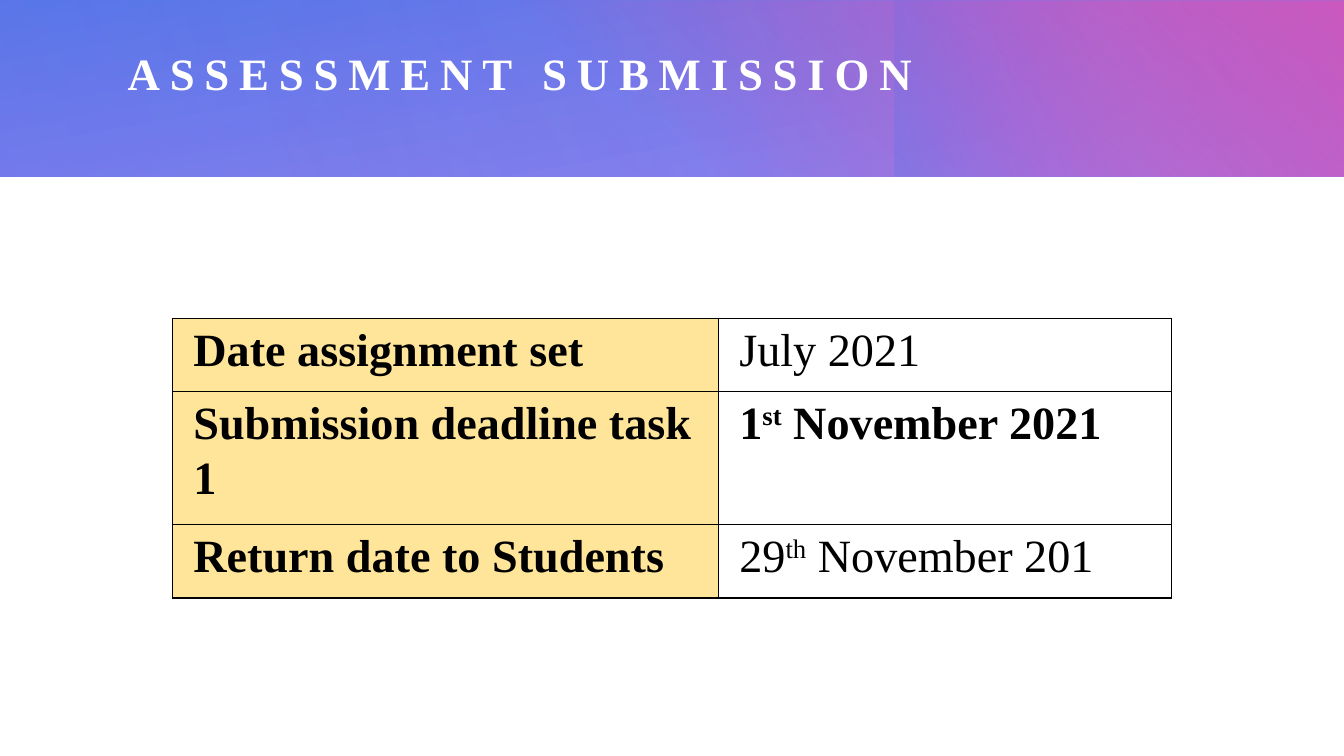
from dataclasses import dataclass

from lxml import etree
from pptx import Presentation
from pptx.dml.color import RGBColor
from pptx.enum.shapes import MSO_SHAPE
from pptx.enum.text import MSO_ANCHOR
from pptx.oxml.ns import qn
from pptx.util import Emu, Inches, Pt

RECT = MSO_SHAPE.RECTANGLE
TOP = MSO_ANCHOR.TOP
GRID_COLS, GRID_ROWS = 160, 90
WIDTH, HEIGHT = Inches(13.333), Inches(7.5)
BAND_ROWS = 21


@dataclass(frozen=True)
class Theme:
    font: str = "Times New Roman"
    title_size: float = 32
    cell_size: float = 33
    title_spacing: float = 7
    border_width: float = 1
    white: str = "FFFFFF"
    black: str = "000000"
    label: str = "FFE599"
    blue: str = "5078E9"
    lilac: str = "826FED"
    violet: str = "A750E9"
    pink: str = "E950AC"


THEME = Theme()


@dataclass(frozen=True)
class Box:
    col: float
    row: float
    cols: float
    rows: float

    def emu(self) -> tuple[Emu, Emu, Emu, Emu]:
        return across(self.col), down(self.row), across(self.cols), down(self.rows)


@dataclass(frozen=True)
class Stop:
    position: float
    color: str
    alpha: int = 100


@dataclass(frozen=True)
class Wash:
    box: Box
    start: Stop
    end: Stop
    angle: float
    rotation: float = 0


@dataclass(frozen=True)
class Span:
    text: str
    superscript: bool = False


@dataclass(frozen=True)
class DateRow:
    label: str
    date: tuple[Span, ...]
    rows: float
    bold: bool = False


WASHES = (
    Wash(Box(0, 0, GRID_COLS, BAND_ROWS),
         Stop(0, THEME.lilac, 83), Stop(1, THEME.blue), 260),
    Wash(Box(57.7, 0.1, 102.3, 20.9),
         Stop(0.22, THEME.pink, 0), Stop(0.99, THEME.pink), 310),
    Wash(Box(118.4, -11.9, BAND_ROWS, 44.9),
         Stop(0.45, THEME.violet, 0), Stop(0.99, THEME.blue, 33), 250, 270),
    Wash(Box(32.2, 0, 127.7, BAND_ROWS),
         Stop(0, THEME.lilac, 30), Stop(0.99, THEME.lilac, 0), 330, 180),
    Wash(Box(0, 0, 103.8, BAND_ROWS),
         Stop(0, THEME.lilac, 21), Stop(0.99, THEME.lilac, 0), 340),
)
TITLE_BOX = Box(15.2, 5.5, 136.2, 7)
TABLE_COL, TABLE_ROW = 20.5, 37.9
TABLE_COLS = (65, 54)
DATES = (
    DateRow("Date assignment set", (Span("July 2021"),), 8.75),
    DateRow("Submission deadline task 1",
            (Span("1"), Span("st", True), Span(" November 2021")), 15.8, True),
    DateRow("Return date to Students",
            (Span("29"), Span("th", True), Span(" November 201")), 8.75),
)


def across(cols: float) -> Emu:
    return Emu(round(WIDTH * cols / GRID_COLS))


def down(rows: float) -> Emu:
    return Emu(round(HEIGHT * rows / GRID_ROWS))


def write(tf, *spans: Span, size: float, color: str, bold: bool = False,
          spacing: float = 0, line: float = 1, after: float = 0) -> None:
    tf.word_wrap = True
    p = tf.paragraphs[0]
    p.line_spacing = line
    p.space_after = Pt(after)
    for span in spans:
        r = p.add_run()
        r.text = span.text
        r.font.name = THEME.font
        r.font.size = Pt(size)
        r.font.bold = bold
        r.font.color.rgb = RGBColor.from_string(color)
        if spacing:
            r.font._element.set("spc", str(round(spacing * 100)))
        if span.superscript:
            r.font._element.set("baseline", "30000")


def draw_wash(slide, wash: Wash) -> None:
    sp = slide.shapes.add_shape(RECT, *wash.box.emu())
    sp.shadow.inherit = False
    sp.rotation = wash.rotation
    sp.line.fill.background()
    sp.fill.gradient()
    sp.fill.gradient_angle = 360 - wash.angle
    for stop, wanted in zip(sp.fill.gradient_stops, (wash.start, wash.end)):
        stop.position = wanted.position
        stop.color.rgb = RGBColor.from_string(wanted.color)
    for gs, wanted in zip(sp._element.spPr.iter(qn("a:gs")), (wash.start, wash.end)):
        etree.SubElement(gs[0], qn("a:alpha")).set("val", str(wanted.alpha * 1000))


def draw_title(slide, text: str) -> None:
    tf = slide.shapes.add_textbox(*TITLE_BOX.emu()).text_frame
    tf.margin_left = tf.margin_right = tf.margin_top = tf.margin_bottom = 0
    tf.vertical_anchor = TOP
    write(tf, Span(text), size=THEME.title_size, color=THEME.white, bold=True,
          spacing=THEME.title_spacing)


def add_borders(cell) -> None:
    tc_pr = cell._tc.get_or_add_tcPr()
    for i, side in enumerate(("a:lnL", "a:lnR", "a:lnT", "a:lnB")):
        ln = etree.Element(qn(side), w=str(Pt(THEME.border_width)))
        fill = etree.SubElement(ln, qn("a:solidFill"))
        etree.SubElement(fill, qn("a:srgbClr"), val=THEME.black)
        tc_pr.insert(i, ln)


def fill_cell(cell, *spans: Span, fill: str, bold: bool, after: float = 0) -> None:
    cell.margin_left = cell.margin_right = Inches(0.21)
    cell.margin_top, cell.margin_bottom = Inches(0.03), 0
    cell.vertical_anchor = TOP
    cell.fill.solid()
    cell.fill.fore_color.rgb = RGBColor.from_string(fill)
    add_borders(cell)
    write(cell.text_frame, *spans, size=THEME.cell_size, color=THEME.black,
          bold=bold, line=1.07, after=after)


def draw_dates(slide) -> None:
    box = Box(TABLE_COL, TABLE_ROW, sum(TABLE_COLS), sum(d.rows for d in DATES))
    table = slide.shapes.add_table(len(DATES), len(TABLE_COLS), *box.emu()).table
    table.first_row = table.horz_banding = False
    for column, cols in zip(table.columns, TABLE_COLS):
        column.width = across(cols)
    for i, entry in enumerate(DATES):
        table.rows[i].height = down(entry.rows)
        fill_cell(table.cell(i, 0), Span(entry.label), fill=THEME.label, bold=True)
        fill_cell(table.cell(i, 1), *entry.date, fill=THEME.white,
                  bold=entry.bold, after=8)


def main() -> None:
    prs = Presentation()
    prs.slide_width, prs.slide_height = WIDTH, HEIGHT
    slide = prs.slides.add_slide(prs.slide_layouts[6])
    for wash in WASHES:
        draw_wash(slide, wash)
    draw_title(slide, "ASSESSMENT SUBMISSION")
    draw_dates(slide)
    prs.save("out.pptx")


if __name__ == "__main__":
    main()
